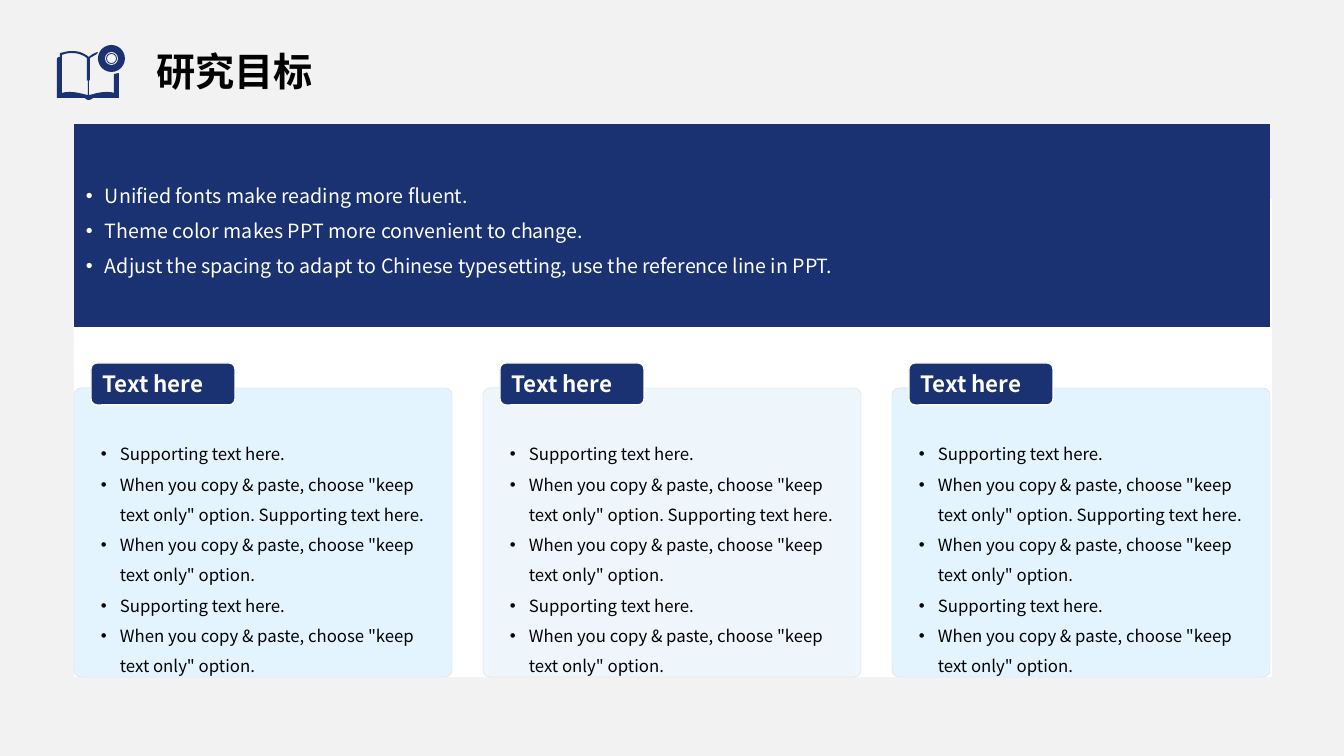
from lxml import etree
from pptx import Presentation
from pptx.dml.color import RGBColor
from pptx.enum.shapes import MSO_SHAPE
from pptx.enum.text import MSO_ANCHOR, PP_ALIGN
from pptx.oxml.ns import qn
from pptx.util import Emu, Pt

RECTANGLE, ROUNDED, OVAL = MSO_SHAPE.RECTANGLE, MSO_SHAPE.ROUNDED_RECTANGLE, MSO_SHAPE.OVAL
TOP, MIDDLE, BOTTOM = MSO_ANCHOR.TOP, MSO_ANCHOR.MIDDLE, MSO_ANCHOR.BOTTOM
LEFT = PP_ALIGN.LEFT

PAGE_WIDTH, PAGE_HEIGHT = 1344, 756
EMU_PER_PX = 12192000 / PAGE_WIDTH
FONT = "Noto Sans CJK SC"
COLORS = {
    "page": "F2F2F2", "navy": "1A3172", "white": "FFFFFF", "black": "000000",
    "sky": "BAE5FF", "mist": "D6E9F5", "edge": "D9D9D9",
}

# Book outline: one point is a straight step, three points are a curve
BOOK_COVER = (
    ((72, 51),), ((79, 51), (84, 53), (89, 57)), ((91, 55), (94, 53), (98, 52)),
    ((97, 54),), ((95, 55), (92, 57), (90, 58)), ((90, 81),), ((89, 79),), ((89, 95),),
    ((91, 95), (98, 92), (106, 92)), ((109, 92), (112, 92), (114, 93)),
    ((114, 74),), ((119, 73),), ((119, 98),), ((93, 98),),
    ((92, 99), (90, 100), (89, 100)), ((87, 100), (86, 99), (85, 98)),
    ((57, 98),), ((57, 59),), ((57, 58), (58, 57), (60, 57)), ((60, 53),),
    ((62, 53), (66, 51), (72, 51)),
)
BOOK_PAGE = (
    ((72, 53),), ((68, 53), (64, 54), (62, 55)), ((62, 93),),
    ((65, 92), (67, 92), (71, 92)), ((78, 92), (86, 95), (88, 95)),
    ((88, 79),), ((87, 81),), ((87, 58),), ((83, 55), (78, 53), (72, 53)),
)
BANNER_LINES = (
    "Unified fonts make reading more fluent.",
    "Theme color makes PPT more convenient to change.",
    "Adjust the spacing to adapt to Chinese typesetting, use the reference line in PPT.",
)
SUPPORT = "Supporting text here."
PASTE = 'When you copy & paste, choose "keep text only" option.'
CARD_LINES = (SUPPORT, f"{PASTE} {SUPPORT}", PASTE, SUPPORT, PASTE)
CARD_FILLS = ("sky", "mist", "sky")
CARD_LEFT, CARD_STEP = 74, 409


def px(length):
    return Emu(round(length * EMU_PER_PX))


def trace(steps, samples=8):
    """Turn straight and curved steps into a list of points."""
    points = []
    for step in steps:
        if len(step) == 1:
            points.append(step[0])
            continue
        corners = (points[-1], *step)
        for index in range(1, samples + 1):
            t = index / samples
            weights = ((1 - t) ** 3, 3 * t * (1 - t) ** 2, 3 * t * t * (1 - t), t ** 3)
            points.append(tuple(
                sum(weight * corner[axis] for weight, corner in zip(weights, corners))
                for axis in (0, 1)))
    return [(px(x), px(y)) for x, y in points]


class SlideBuilder:
    def __init__(self, deck):
        self.page = deck.slides.add_slide(deck.slide_layouts[5])
        background = self.page.background.fill
        background.solid()
        background.fore_color.rgb = self.color("page")

    def color(self, name):
        return RGBColor.from_string(COLORS[name])

    def paint(self, shape, fill, line=None, line_width=1, opacity=None):
        shape.shadow.inherit = False
        shape.fill.solid()
        shape.fill.fore_color.rgb = self.color(fill)
        if opacity is not None:
            tint = shape.fill._xPr.find(qn("a:solidFill"))[0]
            etree.SubElement(tint, qn("a:alpha"), val=str(opacity * 1000))
        if line:
            shape.line.color.rgb = self.color(line)
            shape.line.width = Pt(line_width)
        else:
            shape.line.fill.background()
        return shape

    def shape(self, kind, left, top, width, height, fill, radius=None, **style):
        shape = self.page.shapes.add_shape(kind, px(left), px(top), px(width), px(height))
        if radius is not None:
            shape.adjustments[0] = radius
        return self.paint(shape, fill, **style)

    def outline(self, contours, fill):
        first, *others = [trace(contour) for contour in contours]
        builder = self.page.shapes.build_freeform(*first[0])
        builder.add_line_segments(first[1:])
        for points in others:
            builder.move_to(*points[0])
            builder.add_line_segments(points[1:])
        return self.paint(builder.convert_to_shape(), fill)

    def fill_text(self, box, lines, size, color, bold=False, anchor=TOP,
                  spacing=1.0, bullets=False, wrap=True):
        frame = box.text_frame
        frame.word_wrap = wrap
        frame.vertical_anchor = anchor
        for index, line in enumerate(lines):
            para = frame.add_paragraph() if index else frame.paragraphs[0]
            para.alignment = LEFT
            para.line_spacing = spacing
            if bullets:
                self.bullet(para)
            span = para.add_run()
            span.text = line
            span.font.size = Pt(size)
            span.font.bold = bold
            span.font.name = FONT
            span.font.color.rgb = self.color(color)
            etree.SubElement(span._r.get_or_add_rPr(), qn("a:ea"), typeface=FONT)

    def bullet(self, para):
        properties = para._p.get_or_add_pPr()
        properties.set("marL", str(px(19)))
        properties.set("indent", str(-px(19)))
        etree.SubElement(properties, qn("a:buFont"), typeface="Arial")
        etree.SubElement(properties, qn("a:buChar"), char="•")

    def text(self, left, top, width, height, lines, size, color, **style):
        box = self.page.shapes.add_textbox(px(left), px(top), px(width), px(height))
        self.fill_text(box, lines, size, color, **style)

    def title(self, left, top, width, height, wording):
        box = self.page.shapes.title
        box.left, box.top, box.width, box.height = map(px, (left, top, width, height))
        self.fill_text(box, [wording], 28, "black", bold=True, anchor=BOTTOM, spacing=0.9)


def main():
    deck = Presentation()
    deck.slide_width, deck.slide_height = px(PAGE_WIDTH), px(PAGE_HEIGHT)
    slide = SlideBuilder(deck)

    # Heading with the book icon and its disc
    slide.title(146, 26, 1196, 74, "研究目标")
    slide.outline((BOOK_COVER, BOOK_PAGE), "navy")
    for inset, fill in ((0, "navy"), (7, "page"), (8, "navy"), (9, "page")):
        side = 27 - 2 * inset
        slide.shape(OVAL, 98 + inset, 45 + inset, side, side, fill)

    # White panel and navy banner
    slide.shape(RECTANGLE, 74, 199, 1198, 478, "white")
    slide.shape(RECTANGLE, 74, 124, 1196, 203, "navy")
    slide.text(76, 151, 1194, 148, BANNER_LINES, 14, "white",
               anchor=MIDDLE, spacing=1.5, bullets=True)

    # Three cards, each with a tag and a list
    for column, fill in enumerate(CARD_FILLS):
        left = CARD_LEFT + column * CARD_STEP
        slide.shape(ROUNDED, left, 388, 378, 289, fill, radius=0.024,
                    line="edge", line_width=0.25, opacity=40)
        tag = slide.shape(ROUNDED, left + 17, 363, 144, 42, "navy", radius=0.14, line="white")
        slide.fill_text(tag, ["Text here"], 16, "white", bold=True, anchor=MIDDLE, wrap=False)
        slide.text(left + 17, 429, 362, 248, CARD_LINES, 12, "black",
                   spacing=1.5, bullets=True)

    deck.save("out.pptx")


if __name__ == "__main__":
    main()
